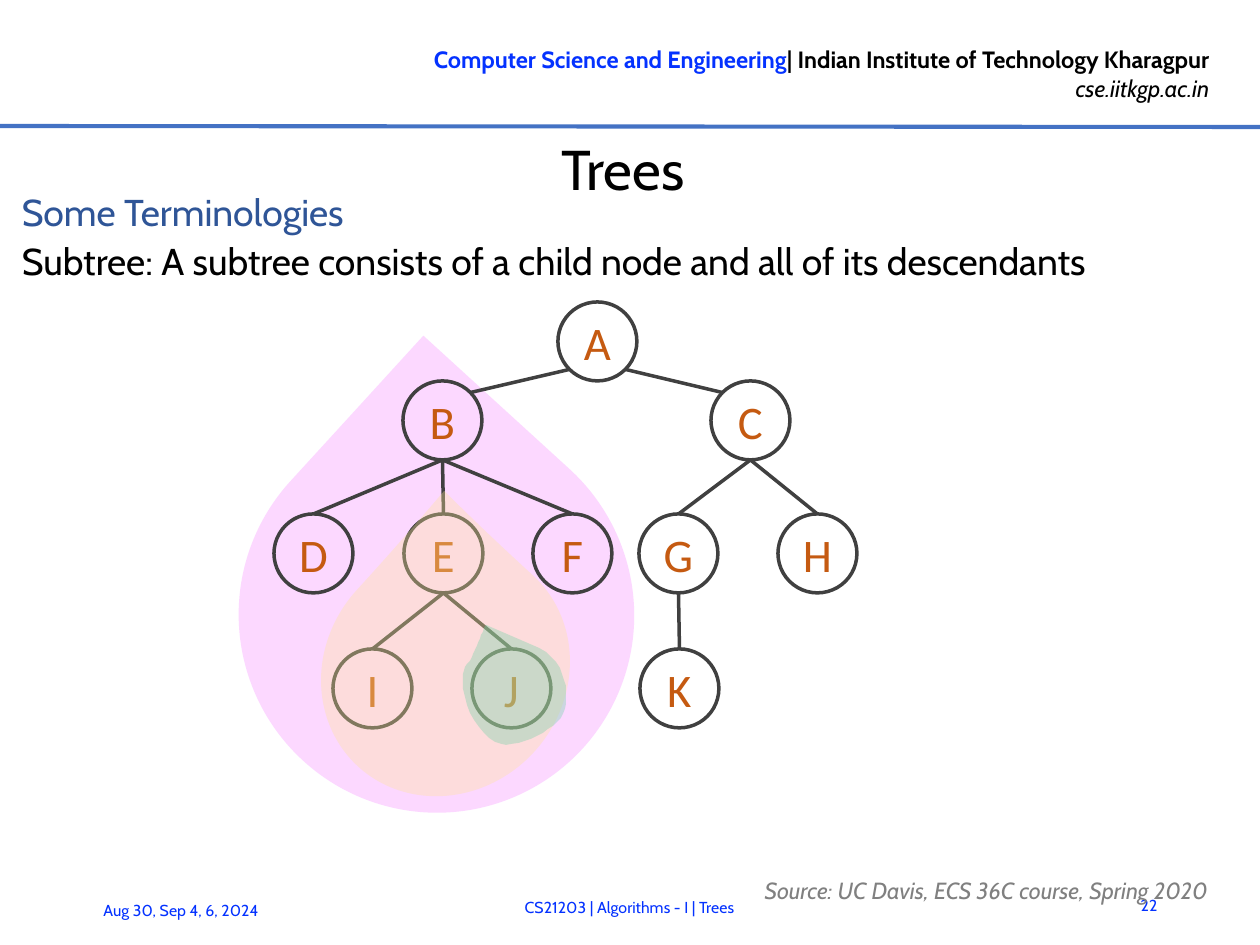
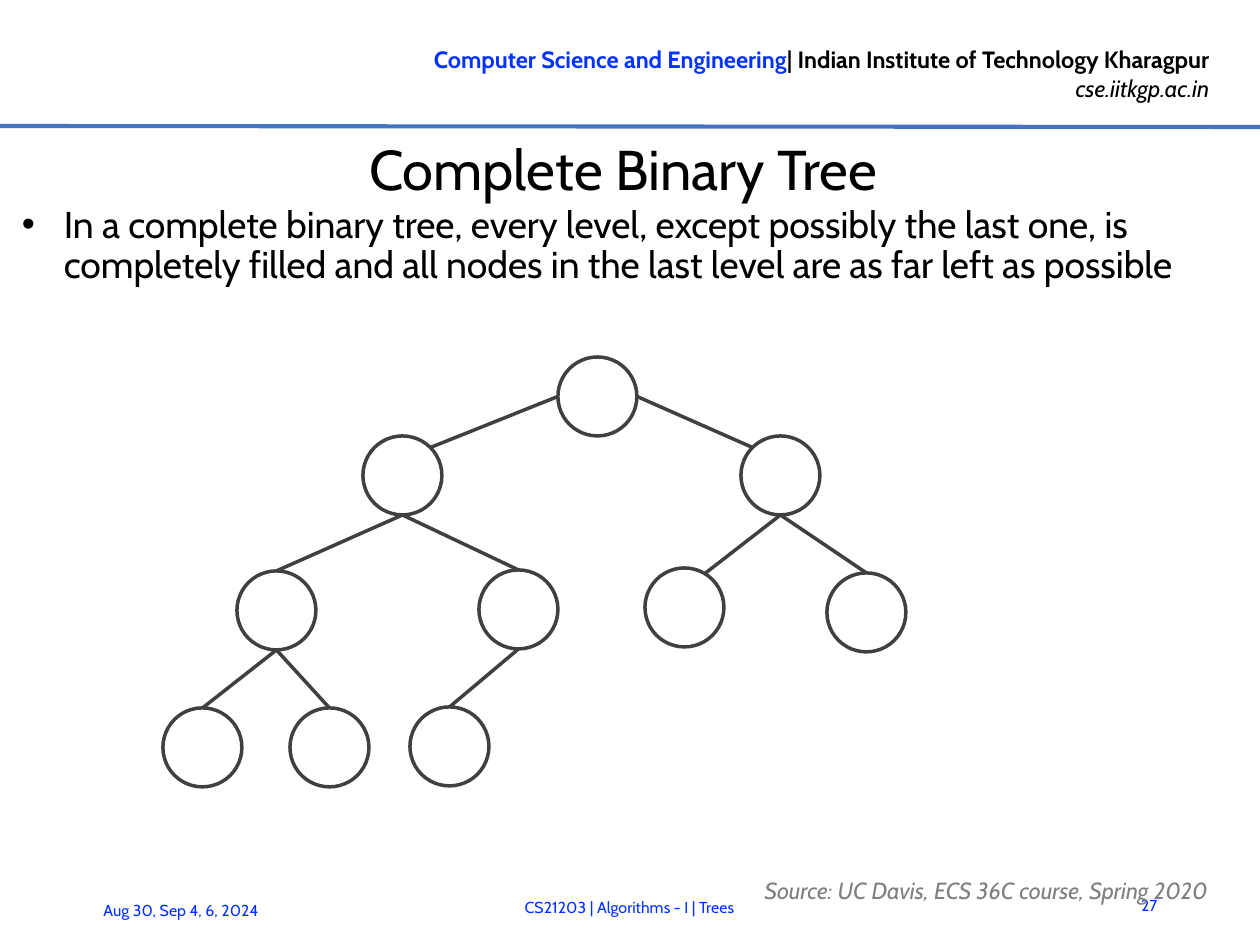
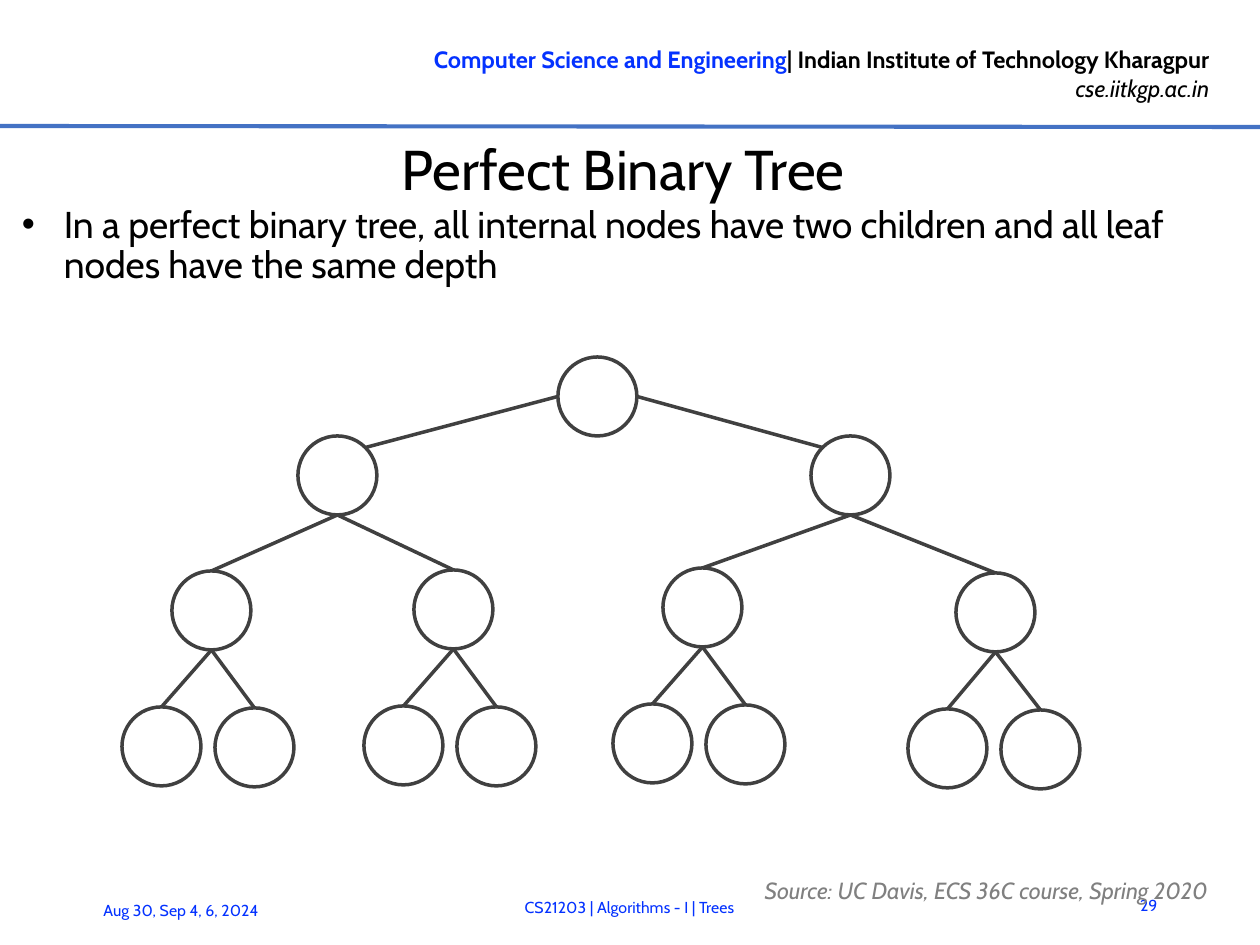
from math import cos, radians, sin

from lxml.etree import SubElement
from pptx import Presentation
from pptx.dml.color import RGBColor
from pptx.enum.shapes import MSO_CONNECTOR, MSO_SHAPE
from pptx.enum.text import MSO_ANCHOR, MSO_AUTO_SIZE, PP_ALIGN
from pptx.oxml.ns import qn
from pptx.util import Emu, Pt

EMU_PER_PX = 914400 / 168
FONT = "Cabin"
NODE_FONT = "Calibri"
BLACK = RGBColor(0x00, 0x00, 0x00)
BLUE = RGBColor(0x04, 0x32, 0xFF)
RULE_BLUE = RGBColor(0x44, 0x72, 0xC4)
HEADING_BLUE = RGBColor(0x2F, 0x55, 0x97)
GRAY = RGBColor(0x80, 0x80, 0x80)
DARK = RGBColor(0x40, 0x40, 0x40)
ORANGE = RGBColor(0xC5, 0x5A, 0x11)
PINK = RGBColor(0xF8, 0x8E, 0xFF)
YELLOW = RGBColor(0xFF, 0xE6, 0x99)
GREEN = RGBColor(0x6B, 0xD3, 0xA5)

NODE_SIZE = 79
SITE_DEGREES = {
    "right": 0, "bottom right": 45, "bottom": 90, "bottom left": 135,
    "left": 180, "top left": 225, "top": 270, "upper right": 301,
    "top right": 315,
}


def px(length):
    return Emu(round(length * EMU_PER_PX))


def bezier(start, control_1, control_2, end, steps=12):
    points = []
    for step in range(1, steps + 1):
        t = step / steps
        weights = ((1 - t) ** 3, 3 * t * (1 - t) ** 2, 3 * t * t * (1 - t), t ** 3)
        corners = (start, control_1, control_2, end)
        points.append(tuple(
            round(sum(weight * corner[axis] for weight, corner in zip(weights, corners)), 2)
            for axis in (0, 1)))
    return points


def site(corner, name):
    radius = NODE_SIZE / 2
    angle = radians(SITE_DEGREES[name])
    return (corner[0] + radius + radius * cos(angle),
            corner[1] + radius + radius * sin(angle))


class Deck:
    def __init__(self):
        self.presentation = Presentation()
        self.presentation.slide_width = px(1260)
        self.presentation.slide_height = px(945)
        self.slide = None

    def start_slide(self, title, number):
        layout = self.presentation.slide_layouts[1]
        self.slide = self.presentation.slides.add_slide(layout)
        self.title(title)
        self.header()
        self.text("Aug 30, Sep 4, 6, 2024", 87, 885, 220, 50)
        self.text("CS21203 | Algorithms - I | Trees", 208, 882, 843, 50,
                  align=PP_ALIGN.CENTER)
        self.text(number, 1112, 880, 62, 50, align=PP_ALIGN.RIGHT)
        source = self.text("Source: UC Davis, ECS 36C course, Spring 2020",
                           748, 869, 507, 29, size=10, color=GRAY)
        source.line_spacing = Pt(18)
        source.runs[0].font.italic = True

    def place(self, shape, left, top, width, height):
        shape.left, shape.top = px(left), px(top)
        shape.width, shape.height = px(width), px(height)

    def style(self, font, size, color, name=FONT):
        font.name = name
        font.size = Pt(size)
        font.color.rgb = color

    def title(self, text):
        shape = self.slide.shapes.title
        self.place(shape, 40, 133, 1166, 69)
        frame = shape.text_frame
        frame.text = text
        frame.auto_size = MSO_AUTO_SIZE.NONE
        frame.vertical_anchor = MSO_ANCHOR.MIDDLE
        frame.margin_left = frame.margin_right = frame.margin_bottom = 0
        frame.margin_top = px(2)
        paragraph = frame.paragraphs[0]
        paragraph.alignment = PP_ALIGN.CENTER
        self.style(paragraph.runs[0].font, 24, BLACK)

    def header(self):
        box = self.slide.shapes.add_textbox(px(321), px(37), px(905), px(74))
        frame = box.text_frame
        frame.word_wrap = True
        lines = (
            (("Computer Science and Engineering", BLUE, True),
             ("| Indian Institute of Technology Kharagpur", BLACK, True)),
            (("cse.iitkgp.ac.in", BLACK, False),),
        )
        for index, line in enumerate(lines):
            paragraph = frame.add_paragraph() if index else frame.paragraphs[0]
            paragraph.alignment = PP_ALIGN.RIGHT
            for text, color, bold in line:
                run = paragraph.add_run()
                run.text = text
                self.style(run.font, 10.1, color)
                run.font.bold = bold
                run.font.italic = not bold
        self.line((0, 126), (1260, 127), RULE_BLUE, 1.75)

    def text(self, text, left, top, width, height, size=6.8, color=BLUE,
             align=PP_ALIGN.LEFT):
        box = self.slide.shapes.add_textbox(px(left), px(top), px(width), px(height))
        frame = box.text_frame
        frame.word_wrap = True
        frame.vertical_anchor = MSO_ANCHOR.MIDDLE
        frame.text = text
        paragraph = frame.paragraphs[0]
        paragraph.alignment = align
        self.style(paragraph.runs[0].font, size, color)
        return paragraph

    def body(self, paragraphs, top, height, bullet=False):
        shape = self.slide.placeholders[1]
        self.place(shape, 5, top, 1238, height)
        frame = shape.text_frame
        frame.text = "\n".join(text for text, color in paragraphs)
        frame.auto_size = MSO_AUTO_SIZE.NONE
        for index, paragraph in enumerate(frame.paragraphs):
            properties = paragraph._p.get_or_add_pPr()
            indent = px(42) if bullet else 0
            properties.set("marL", str(indent))
            properties.set("indent", str(-indent))
            if bullet:
                SubElement(properties, qn("a:buChar")).set("char", "•")
            else:
                SubElement(properties, qn("a:buNone"))
            paragraph.line_spacing = Pt(17)
            paragraph.space_before = Pt(2 if index else 0)
            paragraph.space_after = Pt(2)
            self.style(paragraph.runs[0].font, 16, paragraphs[index][1])

    def line(self, start, end, color=DARK, width=1.5):
        connector = self.slide.shapes.add_connector(
            MSO_CONNECTOR.STRAIGHT, *(px(value) for value in (*start, *end)))
        connector.line.color.rgb = color
        connector.line.width = Pt(width)
        SubElement(connector.element.spPr, qn("a:effectLst"))

    def node(self, corner, label):
        shape = self.slide.shapes.add_shape(
            MSO_SHAPE.OVAL, px(corner[0]), px(corner[1]), px(NODE_SIZE), px(NODE_SIZE))
        shape.shadow.inherit = False
        shape.fill.background()
        shape.line.color.rgb = DARK
        shape.line.width = Pt(1.5)
        if label:
            frame = shape.text_frame
            frame.word_wrap = False
            frame.margin_left = frame.margin_right = 0
            frame.margin_top = frame.margin_bottom = 0
            frame.vertical_anchor = MSO_ANCHOR.MIDDLE
            frame.text = label
            frame.paragraphs[0].alignment = PP_ALIGN.CENTER
            self.style(frame.paragraphs[0].runs[0].font, 20, ORANGE, NODE_FONT)

    def tree(self, nodes, children, root_sites, labelled=False, end_sites=None):
        for name, corner in nodes.items():
            self.node(corner, name if labelled else "")
        for parent, names in children.items():
            for index, name in enumerate(names):
                start, end = "bottom", "top"
                if parent == "A":
                    start = root_sites[index]
                    end = ("top right", "top left")[index]
                end = (end_sites or {}).get(name, end)
                self.line(site(nodes[parent], start), site(nodes[name], end))

    def tint(self, shape, color):
        shape.shadow.inherit = False
        shape.fill.solid()
        shape.fill.fore_color.rgb = color
        shape.line.fill.background()
        fill_color = shape.element.spPr.find(qn("a:solidFill"))[0]
        SubElement(fill_color, qn("a:alpha")).set("val", "34000")

    def teardrop(self, left, top, width, height, color, point=1):
        shape = self.slide.shapes.add_shape(
            MSO_SHAPE.TEAR, px(left), px(top), px(width), px(height))
        shape.adjustments[0] = point
        shape.rotation = 312.4
        self.tint(shape, color)

    def outline(self, start, points, color):
        builder = self.slide.shapes.build_freeform(*start, scale=EMU_PER_PX)
        builder.add_line_segments(points, close=True)
        self.tint(builder.convert_to_shape(), color)


def subtree_slide(deck):
    deck.start_slide("Trees", "22")
    deck.body([
        ("Some Terminologies", HEADING_BLUE),
        ("Subtree: A subtree consists of a child node and all of its descendants", BLACK),
    ], 186, 650)
    deck.teardrop(239, 417, 395, 396, PINK)
    nodes = {"A": (558, 302), "B": (403, 381), "C": (711, 381)}
    nodes.update(zip("DEFGH", ((left, 514) for left in (274, 404, 533, 639, 778))))
    nodes.update(zip("IJK", ((left, 649) for left in (333, 472, 640))))
    children = {"A": "BC", "B": "DEF", "C": "GH", "E": "IJ", "G": "K"}
    deck.tree(nodes, children, ("bottom left", "bottom right"), labelled=True)
    deck.teardrop(316, 551, 259, 240, YELLOW, 1.02)
    bottom, left_side, tip = (501, 744), (465, 667), (486, 625)
    shoulder, right_side = (539, 648), (563, 714)
    points = [
        *bezier(bottom, (477, 739), (455, 692), left_side),
        *bezier(left_side, (475, 655), (479, 638), tip),
        shoulder,
        *bezier(shoulder, (568, 662), (570, 697), right_side),
        *bezier(right_side, (556, 729), (522, 748), bottom),
    ]
    deck.outline(bottom, points, GREEN)


def complete_slide(deck):
    deck.start_slide("Complete Binary Tree", "27")
    deck.body([(
        "In a complete binary tree, every level, except possibly the last one, is "
        "completely filled and all nodes in the last level are as far left as possible",
        BLACK)], 198, 165, bullet=True)
    nodes = {
        "A": (558, 357), "B": (363, 436), "C": (741, 436),
        "D": (237, 571), "E": (479, 570), "F": (645, 568), "G": (827, 573),
        "H": (163, 708), "I": (290, 708), "J": (410, 707),
    }
    children = {"A": "BC", "B": "DE", "C": "FG", "D": "HI", "E": "J"}
    deck.tree(nodes, children, ("left", "right"), end_sites={"F": "upper right"})


def perfect_slide(deck):
    deck.start_slide("Perfect Binary Tree", "29")
    deck.body([(
        "In a perfect binary tree, all internal nodes have two children and all leaf "
        "nodes have the same depth", BLACK)], 198, 165, bullet=True)
    nodes = {
        "A": (558, 357), "B": (298, 436), "C": (811, 436),
        "D": (172, 571), "E": (414, 570), "F": (663, 568), "G": (956, 573),
    }
    children = {"A": "BC", "B": "DE", "C": "FG"}
    leaf_pairs = {"D": ("HI", 122), "E": ("JK", 364), "F": ("LM", 613), "G": ("NO", 908)}
    for parent, (pair, left) in leaf_pairs.items():
        top = nodes[parent][1] + 136
        children[parent] = pair
        nodes.update(zip(pair, ((left, top), (left + 93, top + 1))))
    deck.tree(nodes, children, ("left", "right"))


def main():
    deck = Deck()
    subtree_slide(deck)
    complete_slide(deck)
    perfect_slide(deck)
    deck.presentation.save("out.pptx")


if __name__ == "__main__":
    main()
